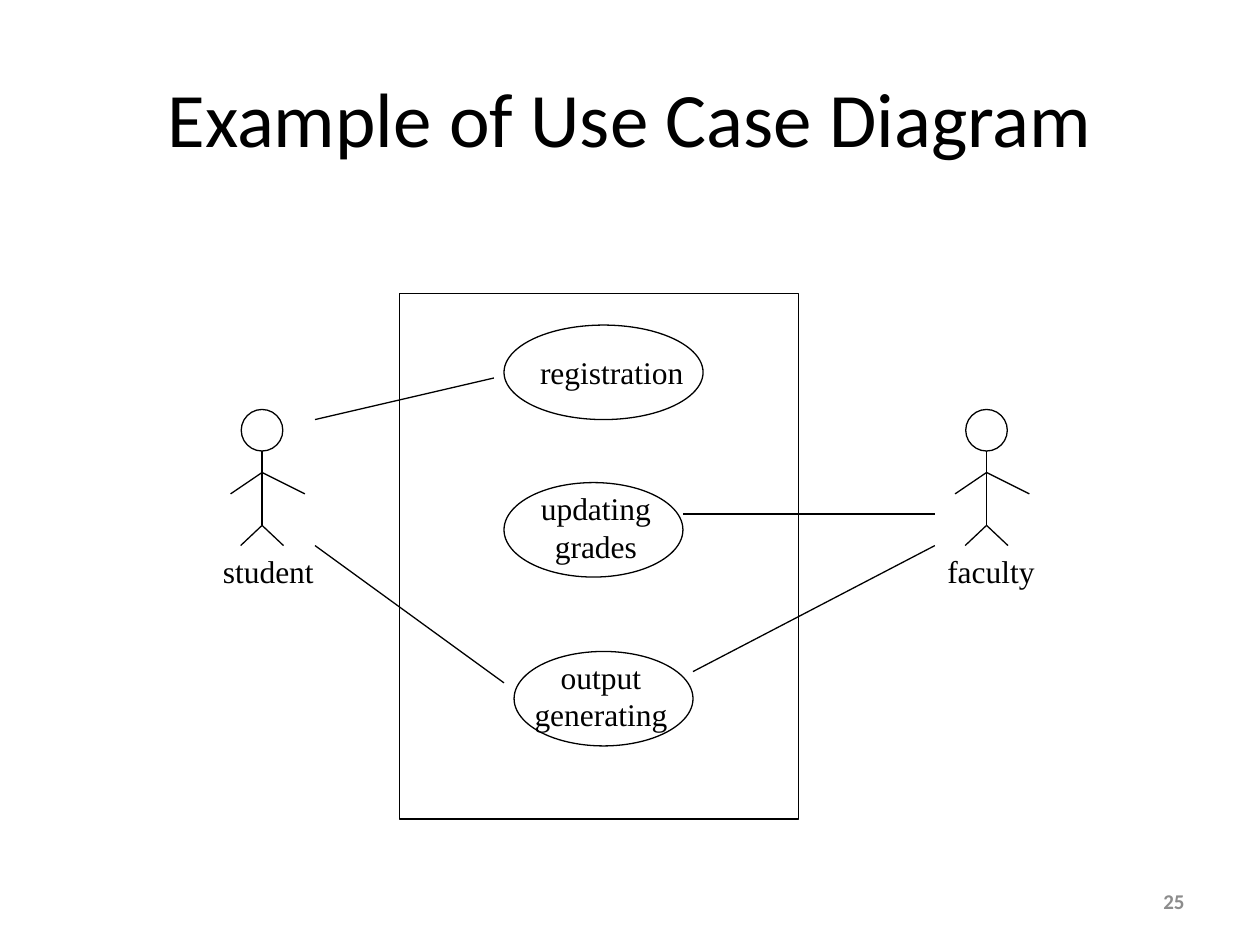
from lxml.etree import SubElement
from pptx import Presentation
from pptx.dml.color import RGBColor
from pptx.enum.shapes import MSO_CONNECTOR as CONN, MSO_SHAPE as SHAPE
from pptx.enum.text import MSO_ANCHOR as ANCHOR, PP_ALIGN as ALIGN
from pptx.oxml.ns import qn
from pptx.util import Inches, Pt

BLACK = RGBColor(0x00, 0x00, 0x00)
GRAY = RGBColor(0x8C, 0x8C, 0x8C)
HEADING_FONT = "Calibri"
LABEL_FONT = "Times New Roman"
LINE_WIDTH = Pt(0.75)


def add_text(s, text, box, font=LABEL_FONT, size=18, color=BLACK, bold=False,
             align=ALIGN.LEFT, anchor=ANCHOR.TOP):
    sp = s.shapes.add_textbox(*map(Inches, box))
    tf = sp.text_frame
    tf.word_wrap = True
    tf.vertical_anchor = anchor
    for i, line in enumerate(text.split("\n")):
        p = tf.paragraphs[0] if i == 0 else tf.add_paragraph()
        p.alignment = align
        r = p.add_run()
        r.text = line
        r.font.name = font
        r.font.size = Pt(size)
        r.font.bold = bold
        r.font.color.rgb = color
    return sp


def add_outline(s, kind, box):
    sp = s.shapes.add_shape(kind, *map(Inches, box))
    sp.shadow.inherit = False
    sp.fill.background()
    sp.line.color.rgb = BLACK
    sp.line.width = LINE_WIDTH
    return sp


def add_line(s, start, end):
    c = s.shapes.add_connector(CONN.STRAIGHT, *map(Inches, (*start, *end)))
    c.line.color.rgb = BLACK
    c.line.width = LINE_WIDTH
    SubElement(c._element.spPr, qn("a:effectLst"))
    return c


def add_actor(s, name, box):
    x, y, w, h = box
    head = 0.33
    mid = x + 0.41
    shoulder, hip, foot = y + 0.5, y + 0.92, y + 1.08
    add_outline(s, SHAPE.OVAL, (mid - head / 2, y, head, head))
    add_line(s, (mid, y + head), (mid, hip))
    for dx in (0.34, -0.25):
        add_line(s, (mid, shoulder), (mid + dx, shoulder + 0.17))
    for dx in (0.17, -0.17):
        add_line(s, (mid, hip), (mid + dx, foot))
    add_text(s, name, (x, foot, w, h - 1.08))


def add_use_case(s, name, box, label_box):
    add_outline(s, SHAPE.OVAL, box)
    add_text(s, name, label_box, align=ALIGN.CENTER)


def add_system(s, box):
    x, y, w, h = box
    use_cases = [
        ("registration", (0.83, 0.25, 1.58, 0.75), (0.96, 0.42, 1.45, 0.4)),
        ("updating\ngrades", (0.83, 1.5, 1.42, 0.75), (0.91, 1.5, 1.3, 0.7)),
        ("output\ngenerating", (0.91, 2.84, 1.42, 0.75), (0.95, 2.84, 1.3, 0.7)),
    ]
    for name, oval, label in use_cases:
        add_use_case(s, name, *[(x + dx, y + dy, cw, ch)
                                for dx, dy, cw, ch in (oval, label)])
    add_outline(s, SHAPE.RECTANGLE, box)


def add_associations(s):
    for start, end in [
        ((2.5, 3.33), (3.92, 3)),
        ((2.5, 4.33), (4, 5.42)),
        ((7.42, 4.08), (5.42, 4.08)),
        ((7.42, 4.33), (5.5, 5.33)),
    ]:
        add_line(s, start, end)


def main():
    prs = Presentation()
    prs.slide_width, prs.slide_height = Inches(10), Inches(7.5)
    s = prs.slides.add_slide(prs.slide_layouts[6])
    add_text(s, "Example of Use Case Diagram", (0.5, 0.3, 9, 1.25),
             font=HEADING_FONT, size=44, align=ALIGN.CENTER, anchor=ANCHOR.MIDDLE)
    add_text(s, "25", (7.17, 6.95, 2.33, 0.4), font=HEADING_FONT, size=12,
             color=GRAY, bold=True, align=ALIGN.RIGHT, anchor=ANCHOR.MIDDLE)
    add_actor(s, "student", (1.67, 3.25, 1.08, 1.48))
    add_system(s, (3.17, 2.33, 3.17, 4.17))
    add_actor(s, "faculty", (7.42, 3.25, 1, 1.48))
    add_associations(s)
    prs.save("out.pptx")


if __name__ == "__main__":
    main()
